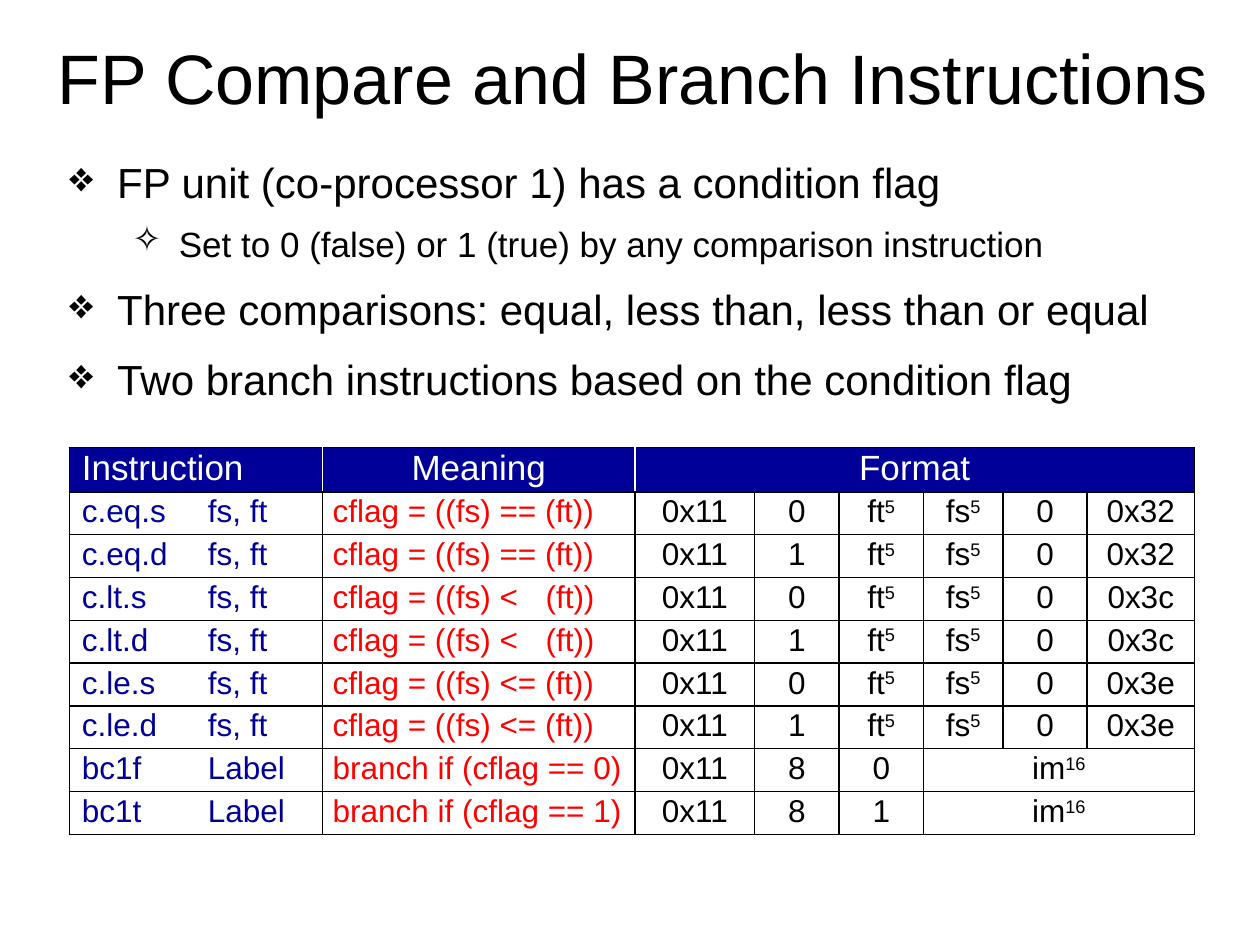
from pptx import Presentation
from pptx.dml.color import RGBColor
from pptx.enum.text import MSO_ANCHOR, PP_ALIGN
from pptx.oxml.ns import qn
from pptx.util import Inches, Pt
from lxml.etree import SubElement

COLORS = {"black": "000000", "white": "FFFFFF", "navy": "000099", "red": "FF0000"}
FONT = "Arial"

TITLE = "FP Compare and Branch Instructions"
# (level, text)
BULLETS = [
    (0, "FP unit (co-processor 1) has a condition flag"),
    (1, "Set to 0 (false) or 1 (true) by any comparison instruction"),
    (0, "Three comparisons: equal, less than, less than or equal"),
    (0, "Two branch instructions based on the condition flag"),
]
LEVELS = [
    {"mark": "❖", "size": 24, "left": 0.38, "hang": 0.38, "before": 11},
    {"mark": "✧", "size": 20, "left": 0.87, "hang": 0.37, "before": 9},
]

# A caret starts a superscript; None continues the cell to its left
HEADER = ["Instruction", "Meaning", "Format"] + [None] * 5
COMPARISONS = [
    ("eq", "== (ft))", "0x32"),
    ("lt", "<\t(ft))", "0x3c"),
    ("le", "<= (ft))", "0x3e"),
]
BRANCHES = [("bc1f", "0"), ("bc1t", "1")]
ROWS = [HEADER]
for name, test, function in COMPARISONS:
    for suffix, precision in (("s", "0"), ("d", "1")):
        ROWS.append([f"c.{name}.{suffix}\tfs, ft", f"cflag = ((fs) {test}",
                     "0x11", precision, "ft^5", "fs^5", "0", function])
for name, flag in BRANCHES:
    ROWS.append([f"{name}\tLabel", f"branch if (cflag == {flag})",
                 "0x11", "8", flag, "im^16", None, None])

COLUMN_WIDTHS = [2.01, 2.48, 0.95, 0.67, 0.67, 0.63, 0.67, 0.85]
HEADER_HEIGHT, ROW_HEIGHT = 0.35, 0.34
COLUMN_COLORS = ["navy", "red"] + ["black"] * 6
TAB_STOPS = {0: 1.0, 1: 1.69}
SIDE_MARGINS = {1: (0.08, 0), 4: (0, 0)}


def set_format(target, **values):
    for key, value in values.items():
        setattr(target, key, value)


def add_text(para, text, size, color):
    for index, piece in enumerate(text.split("^")):
        span = para.add_run()
        span.text = piece
        set_format(span.font, name=FONT, size=Pt(size))
        span.font.color.rgb = RGBColor.from_string(COLORS[color])
        if index:
            span.font._element.set("baseline", "30000")


def add_box(page, left, top, width, height, side, anchor):
    frame = page.shapes.add_textbox(*map(Inches, (left, top, width, height))).text_frame
    set_format(frame, word_wrap=True, vertical_anchor=anchor,
               margin_left=Inches(side), margin_right=Inches(side))
    return frame


def add_tab(para, position):
    stops = SubElement(para._p.get_or_add_pPr(), qn("a:tabLst"))
    SubElement(stops, qn("a:tab"), pos=str(Inches(position)), algn="l")


def set_borders(cell, **sides):
    for side, color in sides.items():
        line = SubElement(cell._tc.get_or_add_tcPr(), qn(f"a:ln{side}"), w=str(Pt(1)))
        fill = SubElement(line, qn("a:solidFill"))
        SubElement(fill, qn("a:srgbClr"), val=COLORS[color])


def add_bullets(page):
    frame = add_box(page, 0.55, 1.19, 8.94, 2.3, 0, MSO_ANCHOR.TOP)
    for index, (level, text) in enumerate(BULLETS):
        style = LEVELS[level]
        para = frame.add_paragraph() if index else frame.paragraphs[0]
        para.level = level
        properties = para._p.get_or_add_pPr()
        properties.set("marL", str(Inches(style["left"])))
        properties.set("indent", str(-Inches(style["hang"])))
        SubElement(properties, qn("a:buChar"), char=style["mark"])
        if index:
            para.space_before = Pt(style["before"])
        add_text(para, text, style["size"], "black")


def fill_cell(cell, text, row, column):
    header = row == 0
    set_borders(cell,
                L="white" if header and column else "black",
                R="white" if header and column < 2 else "black",
                T="black", B="black")
    if header:
        cell.fill.solid()
        cell.fill.fore_color.rgb = RGBColor.from_string(COLORS["navy"])
    else:
        cell.fill.background()
    if text is None:
        return
    left, right = (0.1, 0.1) if header else SIDE_MARGINS.get(column, (0.1, 0.1))
    edge = Inches(0.01 if header else 0.02)
    set_format(cell, margin_left=Inches(left), margin_right=Inches(right),
               margin_top=edge, margin_bottom=edge)
    para = cell.text_frame.paragraphs[0]
    if "\t" in text:
        add_tab(para, TAB_STOPS[column])
    centered = column > (0 if header else 1)
    para.alignment = PP_ALIGN.CENTER if centered else PP_ALIGN.LEFT
    add_text(para, text, 20 if header else 18,
             "white" if header else COLUMN_COLORS[column])


def add_instruction_table(page):
    height = HEADER_HEIGHT + ROW_HEIGHT * (len(ROWS) - 1)
    table = page.shapes.add_table(
        len(ROWS), len(COLUMN_WIDTHS), Inches(0.55), Inches(3.55),
        Inches(sum(COLUMN_WIDTHS)), Inches(height)).table
    set_format(table, first_row=False, horz_banding=False)
    for column, width in zip(table.columns, COLUMN_WIDTHS):
        column.width = Inches(width)
    for row, texts in enumerate(ROWS):
        table.rows[row].height = Inches(ROW_HEIGHT if row else HEADER_HEIGHT)
        for column, text in enumerate(texts):
            fill_cell(table.cell(row, column), text, row, column)
        # Join the trailing continued cells
        if None in texts:
            start = texts.index(None) - 1
            table.cell(row, start).merge(table.cell(row, len(texts) - 1))


def main():
    deck = Presentation()
    set_format(deck, slide_width=Inches(10), slide_height=Inches(7.5))
    page = deck.slides.add_slide(deck.slide_layouts[6])

    # Title
    title = add_box(page, 0.31, 0.17, 9.42, 0.87, 0.1, MSO_ANCHOR.MIDDLE).paragraphs[0]
    title.alignment = PP_ALIGN.CENTER
    add_text(title, TITLE, 40, "black")

    # Body
    add_bullets(page)
    add_instruction_table(page)
    deck.save("out.pptx")


if __name__ == "__main__":
    main()
